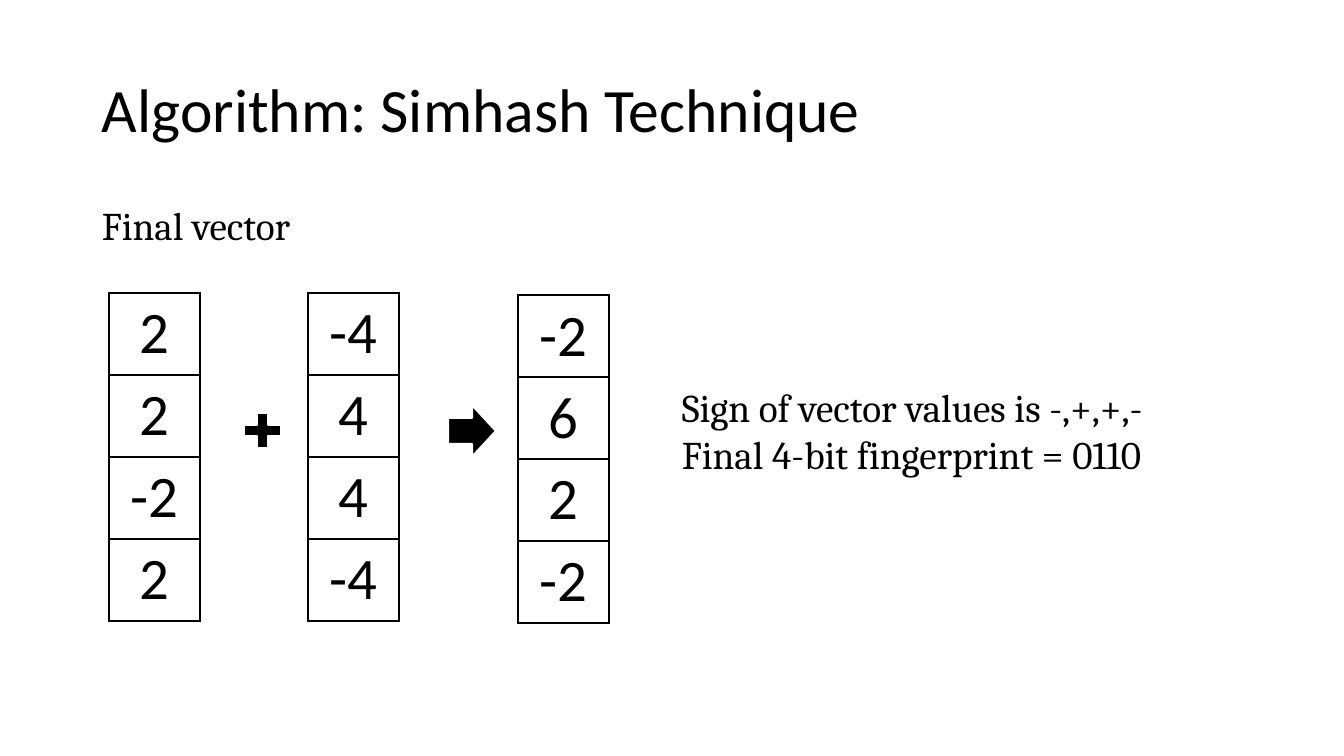
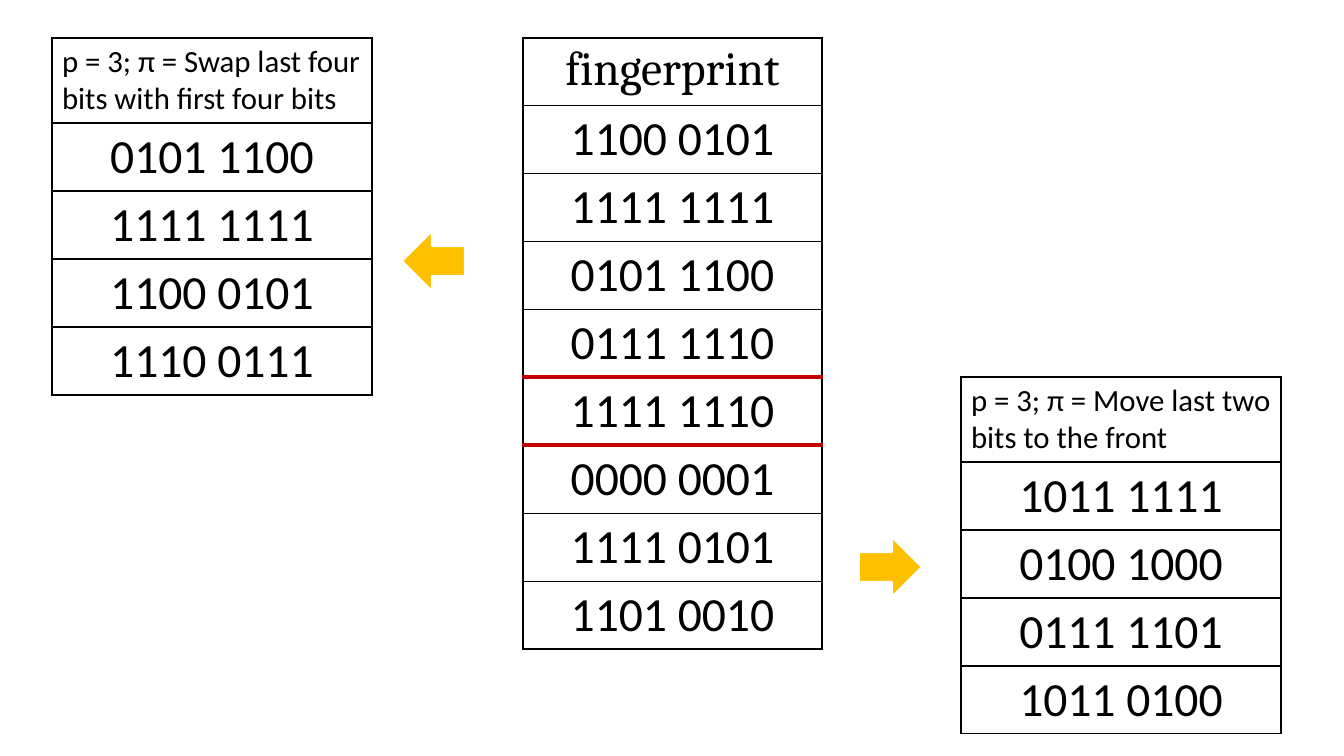
"""Build two slides on the Simhash technique: vector sum and fingerprint tables."""
from lxml import etree
from pptx import Presentation
from pptx import util as u
from pptx.dml.color import RGBColor
from pptx.enum import shapes, text
from pptx.oxml.ns import qn

PX = 914400 / 100.8
COLOURS = {"ink": "000000", "paper": "FFFFFF", "amber": "FFC000", "red": "C00000"}
SANS, SERIF = "Calibri", "Cambria"
CENTER, LEFT = text.PP_ALIGN.CENTER, text.PP_ALIGN.LEFT
KINDS = shapes.MSO_SHAPE

# Row styles: height in px, font size, font, alignment
ROWS = {
    "vector": (82, 42, SANS, CENTER),
    "bits": (68, 34, SANS, CENTER),
    "heading": (64, 34, SERIF, CENTER),
    "rule": (85, 22, SANS, LEFT),
}

# Text boxes: place, lines, size, font, line spacing, anchor
SIMHASH_TEXTS = [
    ((92, 40, 1159, 146), ["Algorithm: Simhash Technique"], 44, SANS, 0.9, text.MSO_ANCHOR.MIDDLE),
    ((92, 202, 335, 480), ["Final vector"], 28, SERIF, 0.9, text.MSO_ANCHOR.TOP),
    ((672, 378, 672, 105),
     ["Sign of vector values is -,+,+,-", "Final 4-bit fingerprint = 0110"],
     28, SERIF, 1.0, text.MSO_ANCHOR.TOP),
]
# Tables: left, top, width, heading with its style, values, style of values, red rows
SIMHASH_TABLES = [
    (109, 293, 91, [], ["2", "2", "-2", "2"], "vector", []),
    (308, 293, 91, [], ["-4", "4", "4", "-4"], "vector", []),
    (518, 295, 91, [], ["-2", "6", "2", "-2"], "vector", []),
]
SIMHASH_SYMBOLS = [
    (KINDS.MATH_PLUS, (237, 407, 51, 47), "ink"),
    (KINDS.RIGHT_ARROW, (448, 405, 48, 52), "ink"),
]
FINGERPRINT_TABLES = [
    (523, 38, 299, [("fingerprint", "heading")],
     ["1100 0101", "1111 1111", "0101 1100", "0111 1110",
      "1111 1110", "0000 0001", "1111 0101", "1101 0010"], "bits", [5]),
    (52, 38, 320, [("p = 3; π = Swap last four bits with first four bits", "rule")],
     ["0101 1100", "1111 1111", "1100 0101", "1110 0111"], "bits", []),
    (961, 377, 320, [("p = 3; π = Move last two bits to the front", "rule")],
     ["1011 1111", "0100 1000", "0111 1101", "1011 0100"], "bits", []),
]
FINGERPRINT_SYMBOLS = [
    (KINDS.LEFT_ARROW, (402, 231, 63, 60), "amber"),
    (KINDS.RIGHT_ARROW, (859, 537, 63, 60), "amber"),
]
SLIDES = [
    (SIMHASH_TEXTS, SIMHASH_TABLES, SIMHASH_SYMBOLS),
    ([], FINGERPRINT_TABLES, FINGERPRINT_SYMBOLS),
]


def emu(*lengths):
    return [u.Emu(round(length * PX)) for length in lengths]


def rgb(name):
    return RGBColor.from_string(COLOURS[name])


def style_para(para, size, font, align=LEFT):
    para.alignment = align
    for span in para.runs:
        span.font.size = u.Pt(size)
        span.font.name = font
        span.font.color.rgb = rgb("ink")


def add_text(page, place, lines, size, font, spacing, anchor):
    frame = page.shapes.add_textbox(*emu(*place)).text_frame
    frame.word_wrap = True
    frame.vertical_anchor = anchor
    frame.text = "\n".join(lines)
    for para in frame.paragraphs:
        para.line_spacing = spacing
        style_para(para, size, font)


def set_borders(cell, red_sides):
    properties = cell._tc.get_or_add_tcPr()
    for index, side in enumerate("LRTB"):
        colour, points = ("red", 3) if side in red_sides else ("ink", 1)
        line = etree.Element(qn(f"a:ln{side}"), w=str(u.Pt(points)))
        fill = etree.SubElement(line, qn("a:solidFill"))
        etree.SubElement(fill, qn("a:srgbClr"), val=COLOURS[colour])
        properties.insert(index, line)


def add_table(page, left, top, width, headings, values, style, red_rows):
    rows = headings + [(value, style) for value in values]
    height = sum(ROWS[kind][0] for _, kind in rows)
    table = page.shapes.add_table(len(rows), 1, *emu(left, top, width, height)).table
    table.first_row = table.horz_banding = False
    for index, (value, kind) in enumerate(rows):
        row_height, size, font, align = ROWS[kind]
        table.rows[index].height = emu(row_height)[0]
        cell = table.cell(index, 0)
        cell.text_frame.text = value
        style_para(cell.text_frame.paragraphs[0], size, font, align)
        cell.fill.background()
        red_top = "T" if {index, index - 1} & set(red_rows) else ""
        red_bottom = "B" if {index, index + 1} & set(red_rows) else ""
        set_borders(cell, red_top + red_bottom)


def add_symbol(page, kind, place, colour):
    symbol = page.shapes.add_shape(kind, *emu(*place))
    symbol.shadow.inherit = False
    symbol.fill.solid()
    symbol.fill.fore_color.rgb = rgb(colour)
    symbol.line.color.rgb = rgb("paper")
    symbol.line.width = u.Pt(1.5)


def main():
    deck = Presentation()
    deck.slide_width, deck.slide_height = emu(1344, 756)
    for texts, tables, symbols in SLIDES:
        page = deck.slides.add_slide(deck.slide_layouts[6])
        for add, items in ((add_text, texts), (add_table, tables), (add_symbol, symbols)):
            for item in items:
                add(page, *item)
    deck.save("out.pptx")


if __name__ == "__main__":
    main()
